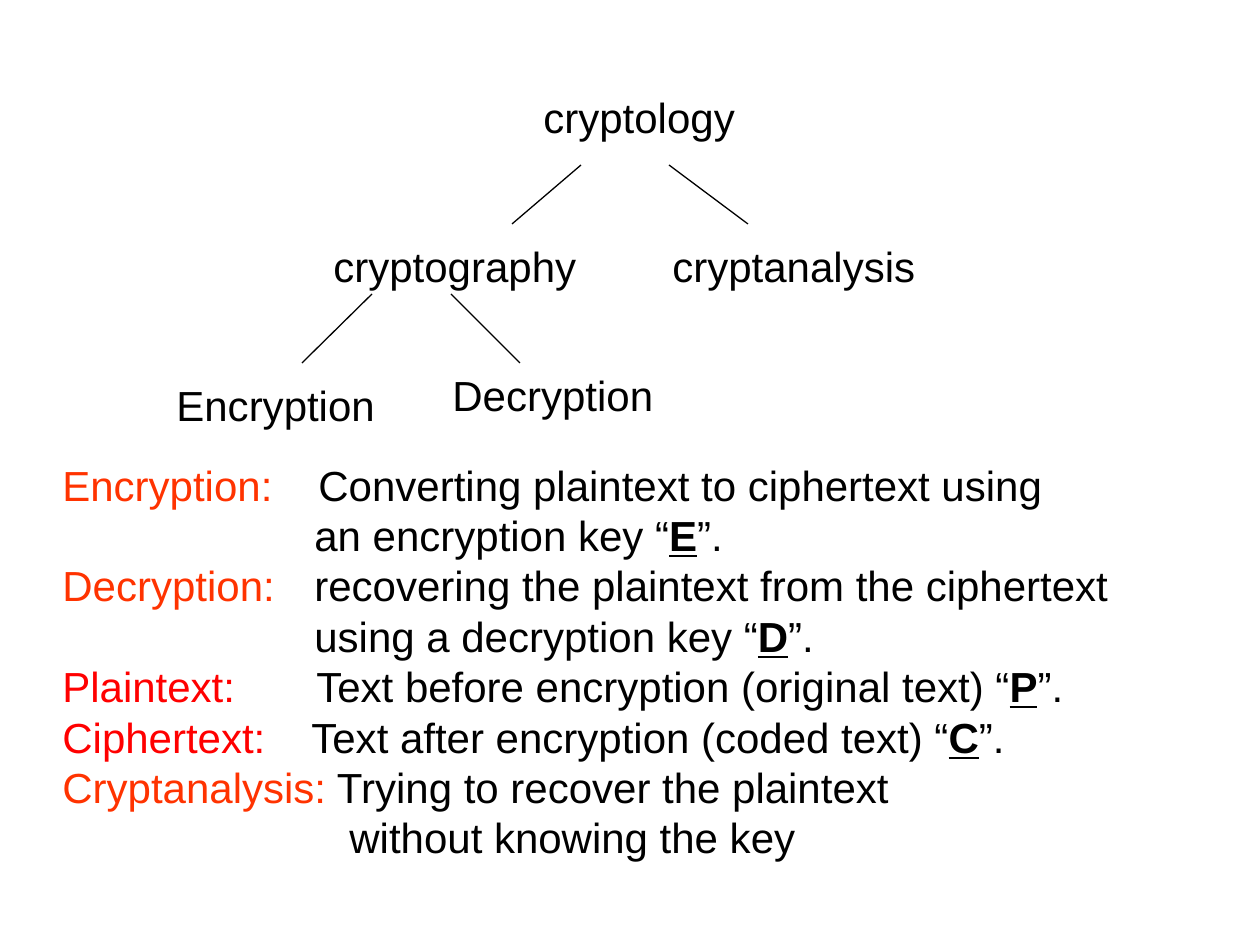
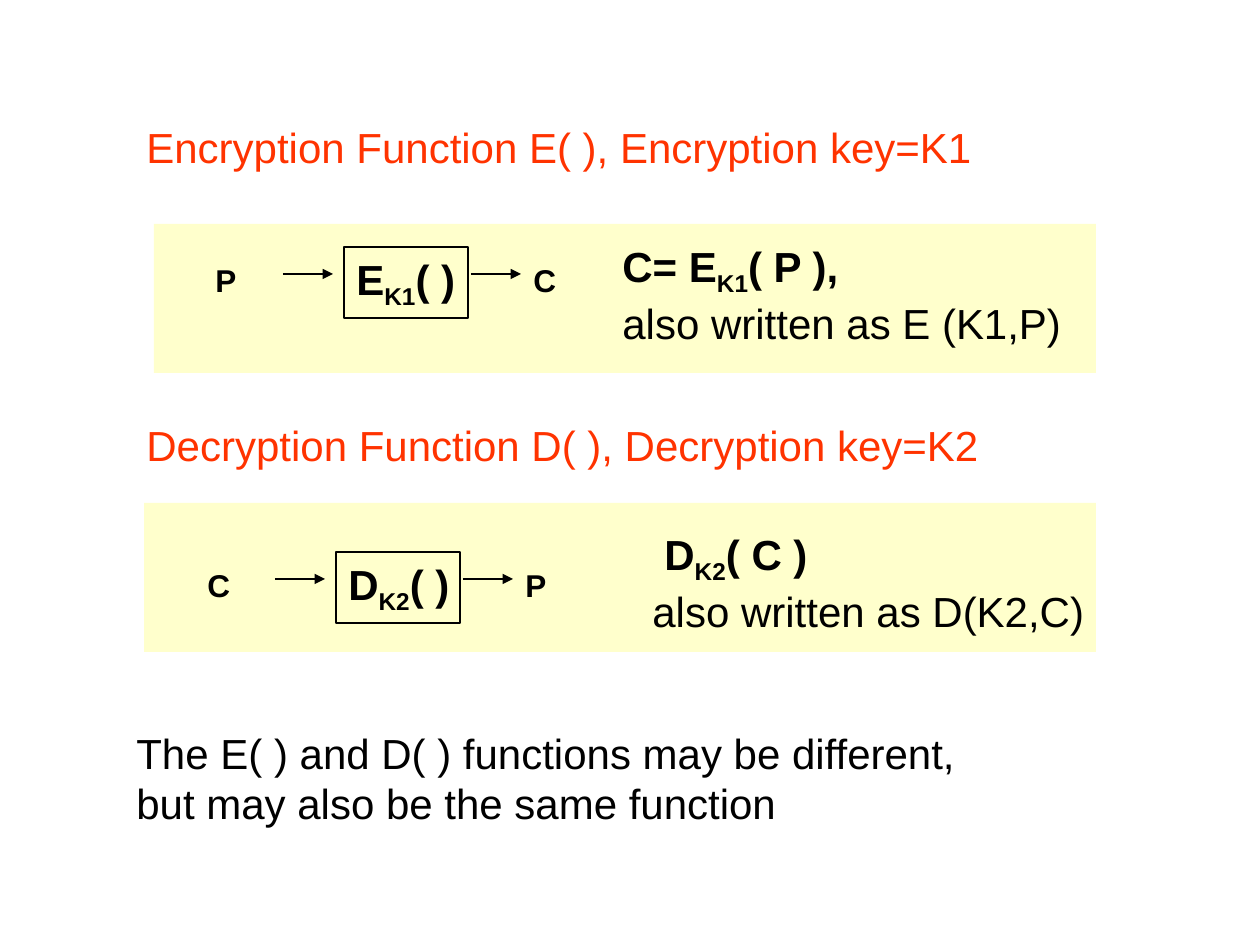
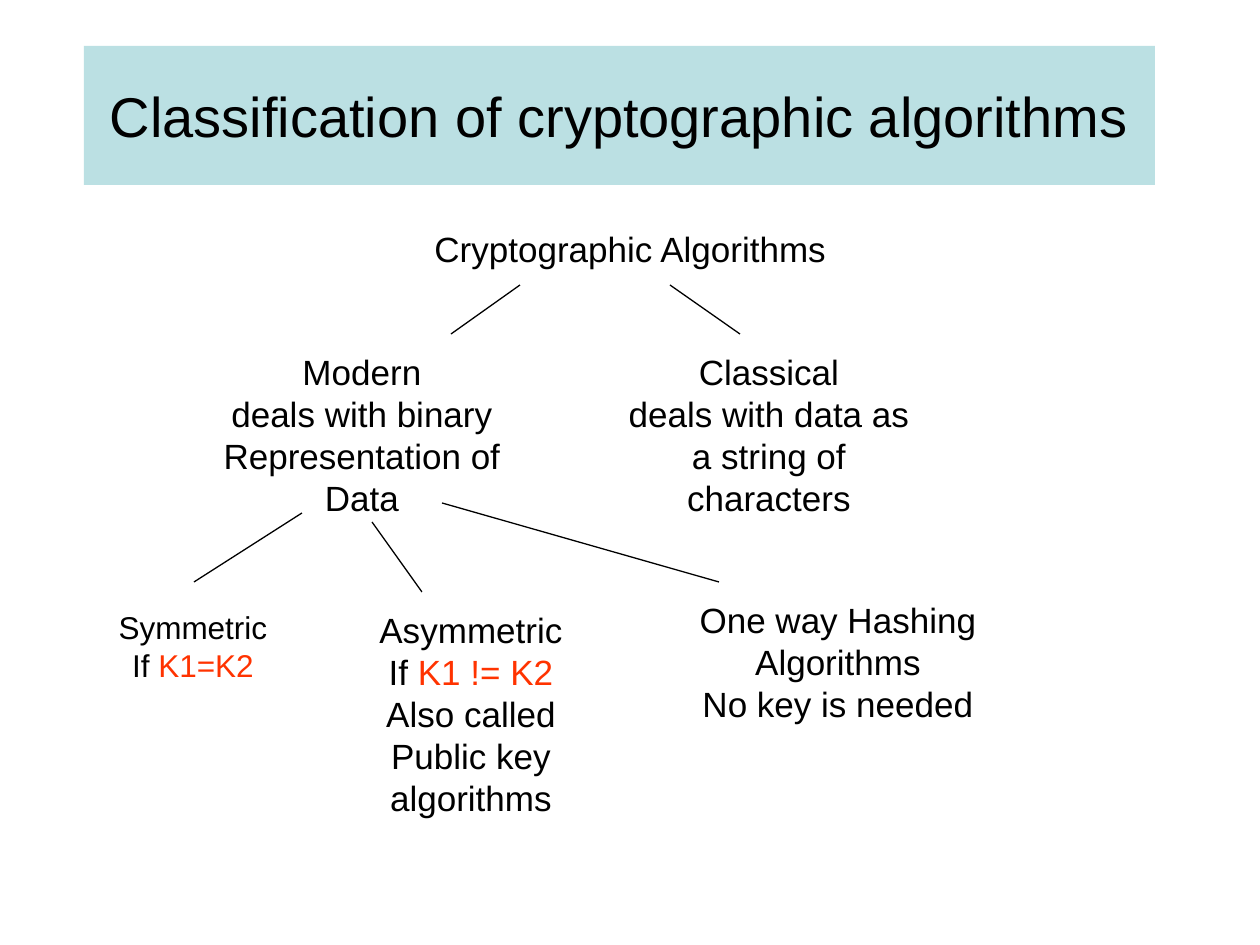
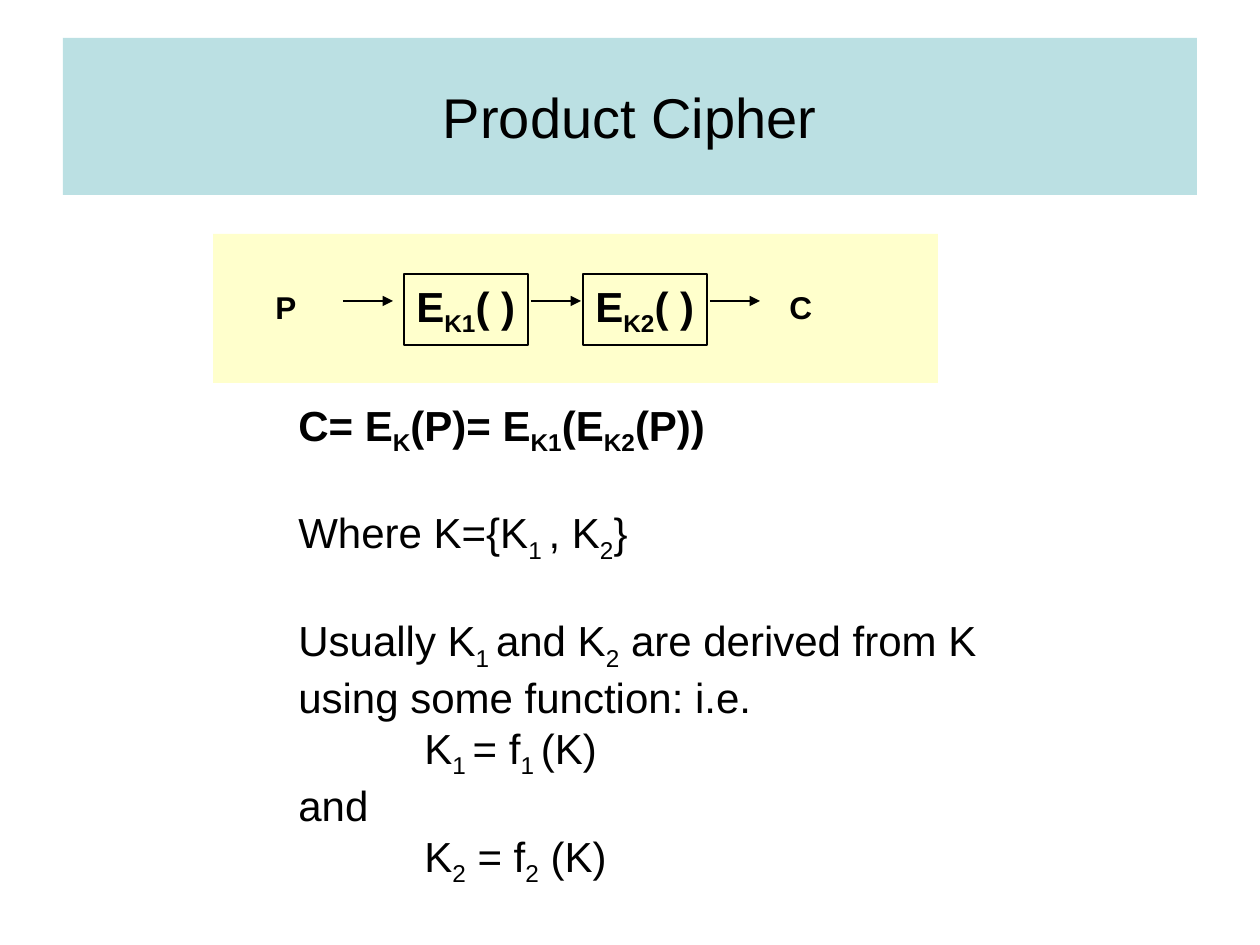
from dataclasses import dataclass

from lxml.etree import SubElement
from pptx import Presentation
from pptx.dml.color import RGBColor
from pptx.enum.shapes import MSO_CONNECTOR, MSO_SHAPE
from pptx.enum.text import MSO_ANCHOR as ANCHOR, MSO_AUTO_SIZE as AUTO, PP_ALIGN as ALIGN
from pptx.oxml.ns import qn
from pptx.util import Emu, Pt

PX = 914400 / 126
FONT = "Arial"
BLACK, ORANGE, RED = "000000", "FF3300", "FF0000"
TITLE_BAND, FLOW_BAND = "BBE0E3", "FFFFCC"

STYLES = {
    "sub": {"baseline": "-25000"},
    "key": {"bold": True, "underline": True},
    "orange": {"color": ORANGE},
    "red": {"color": RED},
}


@dataclass
class Para:
    """Runs are plain strings or (text, style name); indent and tab in px, before in points."""
    runs: list
    indent: int = 0
    tab: int = 0
    before: float = 0
    bold: bool = False


def sub(text):
    return text, "sub"


# Slide 1
CRYPTOLOGY_TREE = [
    ("cryptology", 531, 85, 217),
    ("cryptography", 321, 234, 267),
    ("cryptanalysis", 660, 234, 267),
    ("Encryption", 164, 373, 223),
    ("Decryption", 440, 363, 226),
]
CRYPTOLOGY_BRANCHES = [
    (581, 165, 512, 224), (669, 165, 748, 224),
    (372, 294, 302, 363), (451, 294, 520, 363),
]
DEFINITIONS = [
    Para([("Encryption:", "orange"), "\tConverting plaintext to ciphertext using"], tab=256),
    Para(["an encryption key “", ("E", "key"), "”."], indent=252),
    Para([("Decryption:", "orange"), "\trecovering the plaintext from the ciphertext"], tab=252),
    Para(["using a decryption key “", ("D", "key"), "”."], indent=252),
    Para([("Plaintext:", "red"), "\tText before encryption (original text) “",
          ("P", "key"), "”."], tab=254),
    Para([("Ciphertext:", "red"), "\tText after encryption (coded text) “",
          ("C", "key"), "”."], tab=249),
    Para([("Cryptanalysis:", "orange"), " Trying to recover the plaintext"]),
    Para(["without knowing the key"], indent=287),
]

# Slide 2
FUNCTIONS = [
    {"heading": ("Encryption Function E( ), Encryption key=K1", (134, 115, 851, 63)),
     "band": (154, 224, 942, 149),
     "flow": (344, 247, "P", [("E", "K1")], "C"),
     "formula": [Para(["C= E", sub("K1"), "( P ),"], bold=True),
                 "also written as E (K1,P)"],
     "formula_box": (610, 234, 496, 121)},
    {"heading": ("Decryption Function D( ), Decryption key=K2", (134, 413, 857, 63)),
     "band": (144, 503, 952, 149),
     "flow": (336, 552, "C", [("D", "K2")], "P"),
     "formula": [Para(["D", sub("K2"), "( C )"], indent=12, bold=True),
                 "also written as D(K2,C)"],
     "formula_box": (640, 522, 470, 121)},
]
FUNCTIONS_NOTE = ["The E( ) and D( ) functions may be different,",
                  "but may also be the same function"]

# Slide 3
ALGORITHM_GROUPS = [
    (["Modern", "deals with binary", "Representation of", "Data"], 203, 344, 181, 20),
    (["Classical", "deals with data as", "a string of characters"], 610, 344, 181, 20),
    (["Symmetric", Para(["If ", ("K1=K2", "orange")])], 34, 602, 88, 18),
    (["Asymmetric", Para(["If ", ("K1 != K2", "orange")]), "Also called",
      "Public key", "algorithms"], 312, 602, 223, 20),
    (["One way Hashing", "Algorithms", "No key is needed"], 679, 592, 139, 20),
]
ALGORITHM_BRANCHES = [
    (520, 285, 451, 334), (670, 285, 740, 334),
    (302, 513, 194, 582), (372, 522, 422, 592), (442, 503, 719, 582),
]

# Slide 4
BLANK_LINE = 28.8
PRODUCT_TEXT = [
    Para(["C= E", sub("K"), "(P)= E", sub("K1"), "(E", sub("K2"), "(P))"], bold=True),
    Para(["Where K={K", sub("1 "), ", K", sub("2"), "}"], before=BLANK_LINE),
    Para(["Usually K", sub("1 "), "and K", sub("2"), " are derived from K"], before=BLANK_LINE),
    "using some function: i.e.",
    Para(["K", sub("1 "), "= f", sub("1 "), "(K)"], indent=126),
    "and",
    Para(["K", sub("2"), " = f", sub("2"), " (K)"], indent=126),
]


def px(*values):
    return [Emu(round(v * PX)) for v in values]


def rgb(color):
    return RGBColor.from_string(color)


def fill_text(sp, paras, size=24, color=BLACK, align=ALIGN.LEFT,
              anchor=ANCHOR.TOP, wrap=False, grow=False):
    tf = sp.text_frame
    tf.word_wrap = wrap
    tf.auto_size = AUTO.SHAPE_TO_FIT_TEXT if grow else AUTO.NONE
    tf.vertical_anchor = anchor
    if not wrap:
        tf.margin_right = 0  # leaves a tight one-line label room to spare
    for i, para in enumerate(paras):
        if isinstance(para, str):
            para = Para([para])
        p = tf.add_paragraph() if i else tf.paragraphs[0]
        p.alignment = align
        if para.before:
            p.space_before = Pt(para.before)
        pPr = p._p.get_or_add_pPr()
        if para.indent:
            pPr.set("marL", str(px(para.indent)[0]))
            pPr.set("indent", "0")
        if para.tab:
            tabs = SubElement(pPr, qn("a:tabLst"))
            SubElement(tabs, qn("a:tab"), pos=str(px(para.tab)[0]), algn="l")
        for run in para.runs:
            text, style = (run, None) if isinstance(run, str) else run
            fmt = {"color": color, "bold": para.bold, **STYLES.get(style, {})}
            r = p.add_run()
            r.text = text
            r.font.name, r.font.size = FONT, Pt(size)
            r.font.bold = fmt["bold"]
            r.font.underline = fmt.get("underline")
            r.font.color.rgb = rgb(fmt["color"])
            if "baseline" in fmt:
                r._r.get_or_add_rPr().set("baseline", fmt["baseline"])


def add_text(slide, box, paras, **fmt):
    fill_text(slide.shapes.add_textbox(*px(*box)), paras, grow=True, **fmt)


def add_rect(slide, box, fill=None, line=None):
    sp = slide.shapes.add_shape(MSO_SHAPE.RECTANGLE, *px(*box))
    sp.shadow.inherit = False
    if fill:
        sp.fill.solid()
        sp.fill.fore_color.rgb = rgb(fill)
    else:
        sp.fill.background()
    if line:
        sp.line.color.rgb = rgb(line)
        sp.line.width = Pt(0.75)
    else:
        sp.line.fill.background()
    return sp


def add_line(slide, ends, arrow=False):
    cxn = slide.shapes.add_connector(MSO_CONNECTOR.STRAIGHT, *px(*ends))
    cxn.line.color.rgb = rgb(BLACK)
    cxn.line.width = Pt(0.75)
    if arrow:
        SubElement(cxn.line._get_or_add_ln(), qn("a:tailEnd"), type="triangle")
    SubElement(cxn._element.spPr, qn("a:effectLst"))


def add_title(slide, box, title):
    fill_text(add_rect(slide, box, TITLE_BAND), [title], size=32, align=ALIGN.CENTER,
              anchor=ANCHOR.MIDDLE, wrap=True)


def add_flow(slide, x, y, source, steps, target, target_gap=177):
    """Draw source -> function boxes -> target, with the first box at x, y."""
    box_w, box_h, pitch, arrow_w = 124, 71, 179, 50
    add_text(slide, (x - 141, y + 8, 48, 50), [Para([source], bold=True)], size=18)
    arrow_starts = [x - 61]
    for i, (name, key) in enumerate(steps):
        left = x + i * pitch
        sp = add_rect(slide, (left, y, box_w, box_h), line=BLACK)
        fill_text(sp, [Para([name, sub(key), "( )"], bold=True)])
        arrow_starts.append(left + box_w + 3)
    for start in arrow_starts:
        add_line(slide, (start, y + 27, start + arrow_w, y + 27), arrow=True)
    add_text(slide, (left + target_gap, y + 8, 48, 50), [Para([target], bold=True)], size=18)


def cryptology_slide(slide):
    for ends in CRYPTOLOGY_BRANCHES:
        add_line(slide, ends)
    for text, x, y, w in CRYPTOLOGY_TREE:
        add_text(slide, (x, y, w, 63), [text])
    add_text(slide, (50, 453, 1082, 416), DEFINITIONS, wrap=True)


def functions_slide(slide):
    for part in FUNCTIONS:
        heading, box = part["heading"]
        add_text(slide, box, [heading], color=ORANGE)
        add_rect(slide, part["band"], FLOW_BAND)
        add_flow(slide, *part["flow"])
        add_text(slide, part["formula_box"], part["formula"], wrap=True)
    add_text(slide, (124, 721, 856, 113), FUNCTIONS_NOTE)


def classification_slide(slide):
    add_title(slide, (84, 46, 1071, 139), "Classification of cryptographic algorithms")
    add_text(slide, (422, 221, 418, 55), ["Cryptographic Algorithms"], size=20)
    for ends in ALGORITHM_BRANCHES:
        add_line(slide, ends)
    for paras, x, y, h, size in ALGORITHM_GROUPS:
        add_text(slide, (x, y, 318, h), paras, size=size, align=ALIGN.CENTER, wrap=True)


def product_slide(slide):
    add_rect(slide, (213, 234, 725, 149), FLOW_BAND)
    add_title(slide, (63, 38, 1134, 157), "Product Cipher")
    add_flow(slide, 404, 274, "P", [("E", "K1"), ("E", "K2")], "C", target_gap=194)
    add_text(slide, (286, 393, 717, 501), PRODUCT_TEXT, wrap=True)


def main():
    prs = Presentation()
    prs.slide_width, prs.slide_height = px(1260, 945)
    for build in (cryptology_slide, functions_slide, classification_slide, product_slide):
        build(prs.slides.add_slide(prs.slide_layouts[6]))
    prs.save("out.pptx")


if __name__ == "__main__":
    main()
